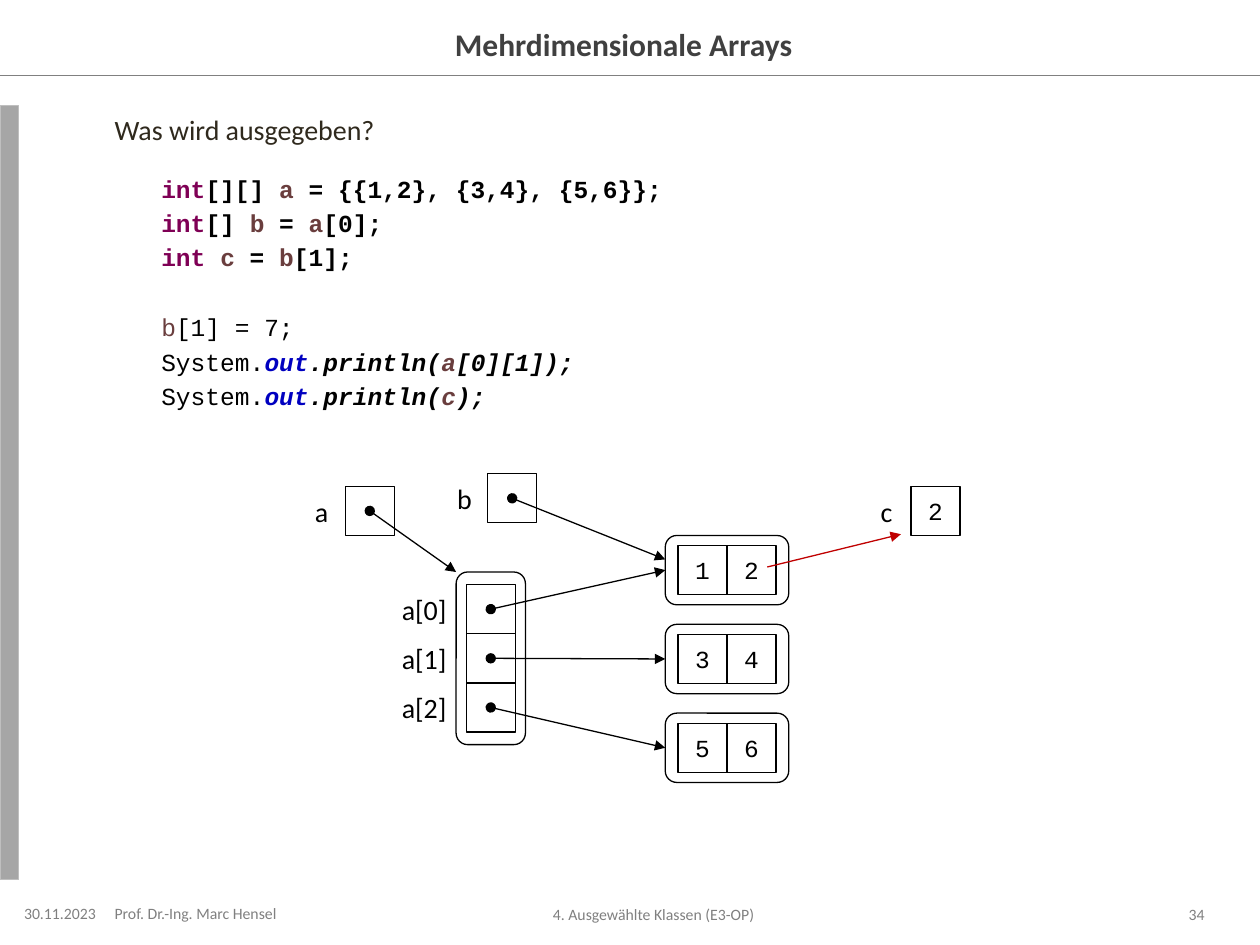
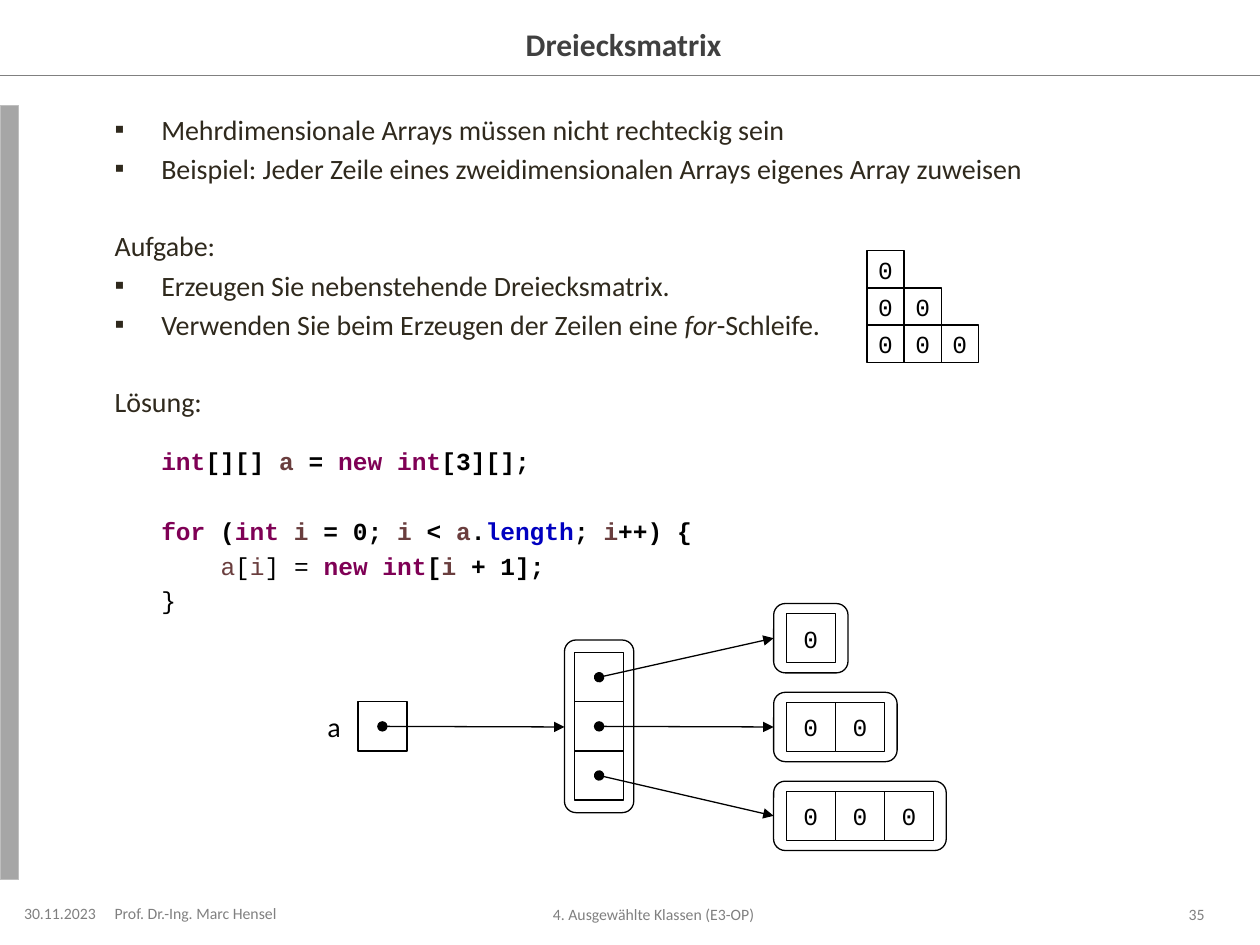
"""Builds two lecture slides on multidimensional Java arrays."""
from lxml import etree
from pptx import Presentation, util as u
from pptx.dml.color import RGBColor
from pptx.enum import shapes, text
from pptx.oxml import ns


class Theme:
    ink, paper, grey, band, edge, red = "000000", "FFFFFF", "808080", "A6A6A6", "BFBFBF", "C00000"
    dark, body, key, var, field = "404040", "2F291D", "7F0055", "6A3E3E", "0000C0"
    sans, mono = "Calibri", "Courier New"
    thin = 0.75
    styles = {
        "T": (sans, 18, dark, True, False),
        "N": (sans, 16, body, False, False),
        "I": (sans, 16, body, False, True),
        "L": (sans, 16, ink, False, False),
        "G": (sans, 9, grey, False, False),
        "K": (mono, 14, key, True, False),
        "P": (mono, 14, ink, True, False),
        "p": (mono, 14, ink, False, False),
        "V": (mono, 14, var, True, False),
        "v": (mono, 14, var, False, False),
        "W": (mono, 14, var, True, True),
        "Q": (mono, 14, ink, True, True),
        "F": (mono, 14, field, True, False),
        "O": (mono, 14, field, True, True),
    }


deck = Presentation()
deck.slide_width, deck.slide_height = u.Inches(10), u.Inches(7.5)
unit = deck.slide_width / 100
cell, pad, rim = 3.9, 1, 0.8
RECT, ROUND = shapes.MSO_SHAPE.RECTANGLE, shapes.MSO_SHAPE.ROUNDED_RECTANGLE
LEFT, MID, RIGHT = text.PP_ALIGN.LEFT, text.PP_ALIGN.CENTER, text.PP_ALIGN.RIGHT


def box(slide, x, y, w, h, kind=RECT, fill=None, line=None):
    """Adds a shape placed in grid units of one hundredth of the slide's width."""
    shape = slide.shapes.add_shape(kind, *(round(n * unit) for n in (x, y, w, h)))
    shape.shadow.inherit = False
    if fill:
        shape.fill.solid()
        shape.fill.fore_color.rgb = RGBColor.from_string(fill)
    else:
        shape.fill.background()
    if line:
        shape.line.color.rgb = RGBColor.from_string(line)
        shape.line.width = u.Pt(Theme.thin)
    else:
        shape.line.fill.background()
    return shape


def write(shape, *lines, style="N", align=LEFT, anchor=text.MSO_ANCHOR.MIDDLE, ins=(0, 1)):
    """Fills a shape with lines; § and a letter switch to that text style."""
    frame = shape.text_frame
    frame.word_wrap, frame.auto_size = True, text.MSO_AUTO_SIZE.NONE
    frame.vertical_anchor = anchor
    frame.margin_left, frame.margin_right = (round(n * unit) for n in ins)
    frame.margin_top = frame.margin_bottom = u.Inches(0.05)
    for i, line in enumerate(lines):
        par = frame.add_paragraph() if i else frame.paragraphs[0]
        par.alignment = align
        for part in f"§{style}{line}".split("§")[1:]:
            if not part[1:]:
                continue
            run = par.add_run()
            run.text = part[1:]
            font = run.font
            font.name, size, tint, font.bold, font.italic = Theme.styles[part[0]]
            font.size, font.color.rgb = u.Pt(size), RGBColor.from_string(tint)


AFTER_HEAD, AFTER_CODE, AFTER_TEXT = 16, 23.2, 25.1
pages = [
    dict(
        title="Mehrdimensionale Arrays", page="34",
        lines=[
            ("head", 0, "Was wird ausgegeben?"),
            ("code", AFTER_HEAD, "§Kint§P[][] §Va§P = {{1,2}, {3,4}, {5,6}};"),
            ("code", None, "§Kint§P[] §Vb§P = §Va§P[0];"),
            ("code", None, "§Kint §Vc§P = §Vb§P[1];"),
            ("code", AFTER_CODE, "§vb§p[1] = 7;"),
            ("code", None, "§pSystem.§Oout§Q.println(§Wa§Q[0][1]);"),
            ("code", None, "§pSystem.§Oout§Q.println(§Wc§Q);"),
        ],
        heap=(36.2, 45.4), rows=["12", "34", "56"], names=["a[0]", "a[1]", "a[2]"],
        vars=[("a", 27.4, 38.6, "", (36.2, 45.4)),
              ("b", 38.7, 37.6, "", (52.8, 44.4)),
              ("c", 72.3, 38.6, "2", None)],
        copies=[(60.9, 45, 71.5, 42.4)], steps=0,
    ),
    dict(
        title="Dreiecksmatrix", page="35",
        lines=[
            ("item", 0, "Mehrdimensionale Arrays müssen nicht rechteckig sein"),
            ("item", None, "Beispiel: Jeder Zeile eines zweidimensionalen Arrays eigenes Array zuweisen"),
            ("head", AFTER_TEXT, "Aufgabe:"),
            ("item", None, "Erzeugen Sie nebenstehende Dreiecksmatrix."),
            ("item", None, "Verwenden Sie beim Erzeugen der Zeilen eine §Ifor§N-Schleife."),
            ("head", AFTER_TEXT, "Lösung:"),
            ("code", AFTER_HEAD, "§Kint§P[][] §Va§P = §Knew int§P[3][];"),
            ("code", AFTER_CODE, "§Kfor§P (§Kint §Vi§P = 0; §Vi§P < §Va§P.§Flength§P; §Vi§P++) {"),
            ("deep", None, "§va§p[§vi§p] = §Knew int§P[§Vi§P + 1];"),
            ("code", None, "§p}"),
        ],
        heap=(44.8, 50.8), rows=["0", "00", "000"], names=[],
        vars=[("a", 28.4, 55.7, "", (44.8, 57.7))],
        copies=[], steps=3,
    ),
]
indents = {"head": (0, 0), "item": (3.7, -3.7), "code": (3.7, 0), "deep": (8.4, 0)}

for page in pages:
    slide = deck.slides.add_slide(deck.slide_layouts[1])
    title, body = slide.placeholders
    for hold, place in ((title, (12.4, 1.5, 75.2, 3.9)), (body, (9.1, 8.4, 86.6, 61.4))):
        hold.left, hold.top, hold.width, hold.height = (round(n * unit) for n in place)
    write(title, page["title"], style="T", align=MID)
    write(body, *(line for _, _, line in page["lines"]), anchor=text.MSO_ANCHOR.TOP)
    for par, (mode, gap, _) in zip(body.text_frame.paragraphs, page["lines"]):
        if gap is not None:
            par.space_before = u.Pt(gap)
        props = par._p.get_or_add_pPr()
        for name, size in zip(("marL", "indent"), indents[mode]):
            props.set(name, str(round(size * unit)))
        if mode == "item":
            etree.SubElement(props, ns.qn("a:buChar")).set("char", "▪")
        else:
            etree.SubElement(props, ns.qn("a:buNone"))

    box(slide, 0, 8.4, 1.5, 61.4, fill=Theme.band, line=Theme.edge)
    for x, y, w, align, ins, label in (
        (1.5, 71.75, 7.5, MID, (0, 1), "30.11.2023"),
        (9.1, 71.7, 15, LEFT, (0, 1), "Prof. Dr.-Ing. Marc Hensel"),
        (24.8, 71.8, 55.1, MID, (0, 1), "4. Ausgewählte Klassen (E3-OP)"),
        (89.2, 71.8, 6.4, RIGHT, (1, 0), page["page"]),
    ):
        write(box(slide, x, y, w, 1.5), label, style="G", align=align, ins=ins)

    left, top = page["heap"]
    right, high = left + 16.6, top - 2.9
    links = [(0, 6, 100, 6, Theme.grey, None, None)]
    cells, labels = [], []
    box(slide, left, top, cell + 2 * rim, 3 * cell + 2 * pad, ROUND, line=Theme.ink)
    for i, row in enumerate(page["rows"]):
        y, spot = high + 7.05 * i, top + pad + cell * i
        box(slide, right, y, len(row) * cell + 2 * pad, cell + 2 * rim, ROUND, line=Theme.ink)
        cells.append((left + rim, spot, cell, ""))
        cells += [(right + pad + cell * j, y + rim, cell, num) for j, num in enumerate(row)]
        links.append((left + rim + cell / 2, spot + cell / 2, right, y + rim + cell / 2,
                      Theme.ink, "oval", "triangle"))
    for i, name in enumerate(page["names"]):
        labels.append((left - 5.3, top + pad + cell * i, 7.5, name))
    for name, x, y, num, goal in page["vars"]:
        cells.append((x, y, cell, num))
        labels.append((x - 3.4, y, 3.4, name))
        if goal:
            links.append((x + cell / 2, y + cell / 2, *goal, Theme.ink, "oval", "triangle"))
    links += [(*ends, Theme.red, None, "triangle") for ends in page["copies"]]
    for i in range(page["steps"]):
        cells += [(68.8 + 2.95 * j, 19.9 + 2.95 * i, 2.95, "0") for j in range(i + 1)]

    for x, y, size, num in cells:
        square = box(slide, x, y, size, size, fill=Theme.paper, line=Theme.ink)
        if num:
            write(square, num, style="p", align=MID, ins=(0, 0))
    for x, y, w, name in labels:
        write(box(slide, x, y, w, cell), name, style="L", ins=(1, 0))
    for *ends, tint, head, tail in links:
        link = slide.shapes.add_connector(shapes.MSO_CONNECTOR.STRAIGHT,
                                          *(round(n * unit) for n in ends))
        link.line.color.rgb = RGBColor.from_string(tint)
        link.line.width = u.Pt(Theme.thin)
        props = link._element.spPr
        for tag, tip in (("a:headEnd", head), ("a:tailEnd", tail)):
            if tip:
                etree.SubElement(props.find(ns.qn("a:ln")), ns.qn(tag)).set("type", tip)
        etree.SubElement(props, ns.qn("a:effectLst"))

deck.save("out.pptx")
